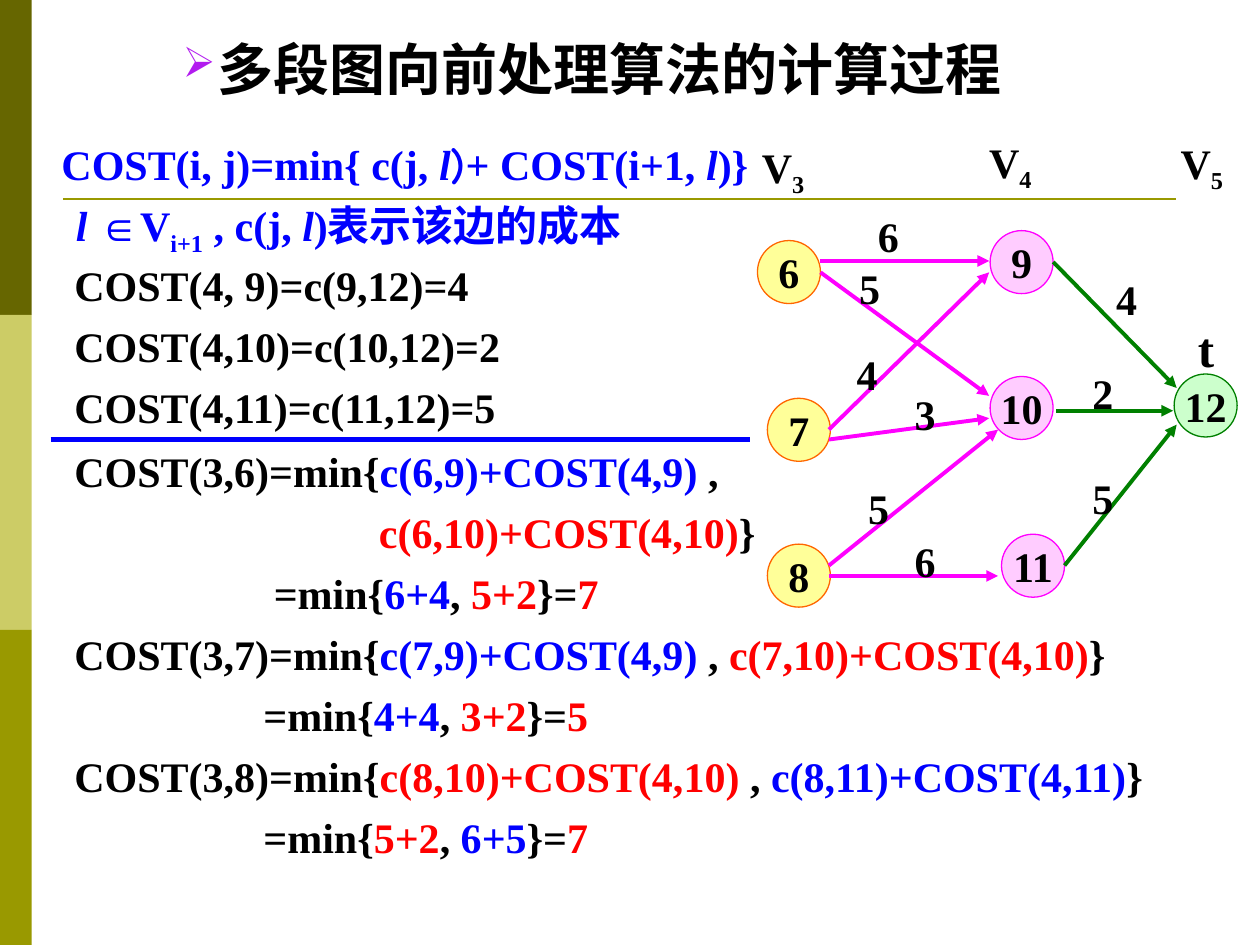
from lxml.etree import SubElement
from pptx import Presentation
from pptx.dml.color import RGBColor
from pptx.enum.shapes import MSO_CONNECTOR, MSO_SHAPE
from pptx.enum.text import MSO_ANCHOR, PP_ALIGN
from pptx.oxml.ns import qn
from pptx.util import Cm, Pt

BLACK = RGBColor(0x00, 0x00, 0x00)
BLUE = RGBColor(0x00, 0x00, 0xFF)
RED = RGBColor(0xFF, 0x00, 0x00)
GREEN = RGBColor(0x00, 0x80, 0x00)
MAGENTA = RGBColor(0xFF, 0x00, 0xFF)
ORANGE = RGBColor(0xFF, 0x66, 0x00)
PALE_YELLOW = RGBColor(0xFF, 0xFF, 0x99)
PALE_PINK = RGBColor(0xFF, 0xCC, 0xFF)
PALE_GREEN = RGBColor(0xCC, 0xFF, 0xCC)
DARK_OLIVE = RGBColor(0x66, 0x66, 0x00)
LIGHT_OLIVE = RGBColor(0xCC, 0xCC, 0x66)
OLIVE = RGBColor(0x99, 0x99, 0x00)
PURPLE = RGBColor(0xB2, 0x1B, 0xEF)
FONT = "Times New Roman"

NODE_SIZE = 1.27
STAGES = [  # fill, outline, nodes as (name, left, top)
    (PALE_YELLOW, ORANGE, [("6", 15.27, 4.85), ("7", 15.47, 8.03), ("8", 15.47, 10.97)]),
    (PALE_PINK, MAGENTA, [("9", 19.96, 4.65), ("10", 19.96, 7.59), ("11", 20.19, 10.77)]),
    (PALE_GREEN, GREEN, [("12", 23.67, 7.54)]),
]
EDGES = [  # colour, ends, cost, left and top of the cost label
    (MAGENTA, (16.54, 5.26, 19.94, 5.26), "6", 17.45, 4.11),
    (MAGENTA, (16.54, 5.49, 19.94, 7.98), "5", 17.07, 5.16),
    (MAGENTA, (16.71, 8.66, 19.94, 5.49), "4", 17.02, 6.91),
    (MAGENTA, (16.71, 8.86, 19.94, 8.43), "3", 18.19, 7.7),
    (MAGENTA, (16.71, 11.4, 20.12, 8.66), "5", 17.25, 9.6),
    (MAGENTA, (16.71, 11.61, 20.12, 11.61), "6", 18.19, 10.67),
    (GREEN, (21.23, 5.28, 23.72, 7.82), "4", 22.25, 5.38),
    (GREEN, (21.29, 8.28, 23.65, 8.28), "2", 21.77, 7.29),
    (GREEN, (21.46, 11.4, 23.72, 8.56), "5", 21.77, 9.4),
]
STAGE_LABELS = [("3", 15.11, 2.72), ("4", 19.69, 2.62), ("5", 23.55, 2.64)]


def blue(text):
    return text, {"color": BLUE}


def red(text):
    return text, {"color": RED}


def italic(text):
    return text, {"italic": True}


def sub(text):
    return text, {"baseline": -25000}


def add_run(p, text, size=24, color=BLACK, font=FONT, italic=False, baseline=None):
    r = p.add_run()
    r.text = text
    r.font.name = font
    r.font.size = Pt(size)
    r.font.bold = True
    r.font.italic = italic
    r.font.color.rgb = color
    if baseline:
        r.font._element.set("baseline", str(baseline))


def write(tf, paragraphs, indents=(), align=PP_ALIGN.LEFT, spacing=None, **fmt):
    """Fill a frame; a run is a string or a (text, format) pair."""
    for i, runs in enumerate(paragraphs):
        p = tf.add_paragraph() if i else tf.paragraphs[0]
        p.alignment = align
        p.space_before = Pt(6 if i else 0)
        if spacing:
            p.line_spacing = spacing
        if indents and indents[i]:
            p._p.get_or_add_pPr().set("marL", str(Cm(indents[i])))
        for run in runs:
            text, own = (run, {}) if isinstance(run, str) else run
            add_run(p, text, **{**fmt, **own})


def add_text(s, paragraphs, x, y, w, h, wrap=True, margin=0.1, **fmt):
    tf = s.shapes.add_textbox(Cm(x), Cm(y), Cm(w), Cm(h)).text_frame
    tf.word_wrap = wrap
    tf.margin_left = tf.margin_right = Cm(margin)
    write(tf, paragraphs, **fmt)
    return tf


def add_label(s, runs, x, y, w=0.91, h=1.27, **fmt):
    add_text(s, [runs], x, y, w, h, wrap=False, margin=0.25, **fmt)


def add_filled(s, kind, x, y, w, h, fill, outline=None):
    sp = s.shapes.add_shape(kind, Cm(x), Cm(y), Cm(w), Cm(h))
    sp.shadow.inherit = False
    sp.fill.solid()
    sp.fill.fore_color.rgb = fill
    if outline is None:
        sp.line.fill.background()
    else:
        sp.line.color.rgb = outline
        sp.line.width = Pt(0.75)
    return sp


def add_node(s, name, x, y, fill, outline):
    sp = add_filled(s, MSO_SHAPE.OVAL, x, y, NODE_SIZE, NODE_SIZE, fill, outline)
    tf = sp.text_frame
    tf.word_wrap = False
    tf.vertical_anchor = MSO_ANCHOR.MIDDLE
    write(tf, [[name]], align=PP_ALIGN.CENTER)


def add_line(s, ends, color, width, arrow=False):
    line = s.shapes.add_connector(MSO_CONNECTOR.STRAIGHT, *map(Cm, ends))
    line.line.color.rgb = color
    line.line.width = Pt(width)
    if arrow:
        SubElement(line.line._get_or_add_ln(), qn("a:tailEnd"), type="triangle")
    SubElement(line._element.spPr, qn("a:effectLst"))


def add_title(s):
    tf = add_text(s, [["多段图向前处理算法的计算过程"]], 3.43, 0.84, 18.42, 1.35,
                  margin=0.25, size=32, spacing=0.8)
    pPr = tf.paragraphs[0]._p.get_or_add_pPr()
    pPr.set("marL", str(Cm(0.71)))
    pPr.set("indent", str(-Cm(0.71)))
    color = SubElement(pPr, qn("a:buClr"))
    SubElement(color, qn("a:srgbClr"), val=str(PURPLE))
    SubElement(pPr, qn("a:buSzPct"), val="75000")
    SubElement(pPr, qn("a:buChar"), char="➢")


def add_background(s):
    for i, color in enumerate((DARK_OLIVE, LIGHT_OLIVE, OLIVE)):
        add_filled(s, MSO_SHAPE.RECTANGLE, 0, 6.35 * i, 0.64, 6.35, color)
    add_line(s, (1.27, 4.01, 23.7, 4.01), OLIVE, 1.5)


def add_graph(s):
    for fill, outline, nodes in STAGES:
        for name, x, y in nodes:
            add_node(s, name, x, y, fill, outline)
    for color, ends, cost, x, y in EDGES:
        add_line(s, ends, color, 2.25, arrow=True)
        add_label(s, [cost], x, y)
    for index, x, y in STAGE_LABELS:
        add_label(s, ["V", sub(index)], x, y, 1.37, 1.42)
    add_label(s, ["t"], 23.9, 6.3, 0.84, 1.45, size=28)


def add_formulas(s):
    add_text(s, [
        ["COST(i, j)=min{ c(j, ", italic("l"), (")", {"font": "Comic Neue"}),
         "+ COST(i+1, ", italic("l"), ")}"],
        [italic("l "), ("∈", {"font": "Arial"}), "V", sub("i+1"), " , c(j, ",
         italic("l"), ")表示该边的成本"],
    ], 1.14, 2.79, 15.24, 2.44, indents=(0, 0.29), color=BLUE, spacing=0.9)
    add_text(s, [["COST(4, 9)=c(9,12)=4"], ["COST(4,10)=c(10,12)=2"],
                 ["COST(4,11)=c(11,12)=5"]], 1.4, 5.11, 9.19, 3.73)
    add_text(s, [
        ["COST(3,6)=min{", blue("c(6,9)+COST(4,9)"), " ,"],
        [red("c(6,10)+COST(4,10)"), "}"],
        ["=min{", blue("6+4"), ", ", red("5+2"), "}=", red("7")],
        ["COST(3,7)=min{", blue("c(7,9)+COST(4,9)"), " , ", red("c(7,10)+COST(4,10)"), "}"],
        ["=min{", blue("4+4"), ", ", red("3+2"), "}=", red("5")],
        ["COST(3,8)=min{", red("c(8,10)+COST(4,10)"), " , ", blue("c(8,11)+COST(4,11)"), "}"],
        ["=min{", red("5+2"), ", ", blue("6+5"), "}=", red("7")],
    ], 1.4, 8.86, 22.96, 8.64, indents=(0, 6.14, 4.02, 0, 3.81, 0, 3.81))
    add_line(s, (1.02, 8.86, 15.11, 8.86), BLUE, 3)


def main():
    prs = Presentation()
    prs.slide_width, prs.slide_height = Cm(25.4), Cm(19.05)
    s = prs.slides.add_slide(prs.slide_layouts[6])
    add_background(s)
    add_title(s)
    add_graph(s)
    add_formulas(s)
    prs.save("out.pptx")


if __name__ == "__main__":
    main()
